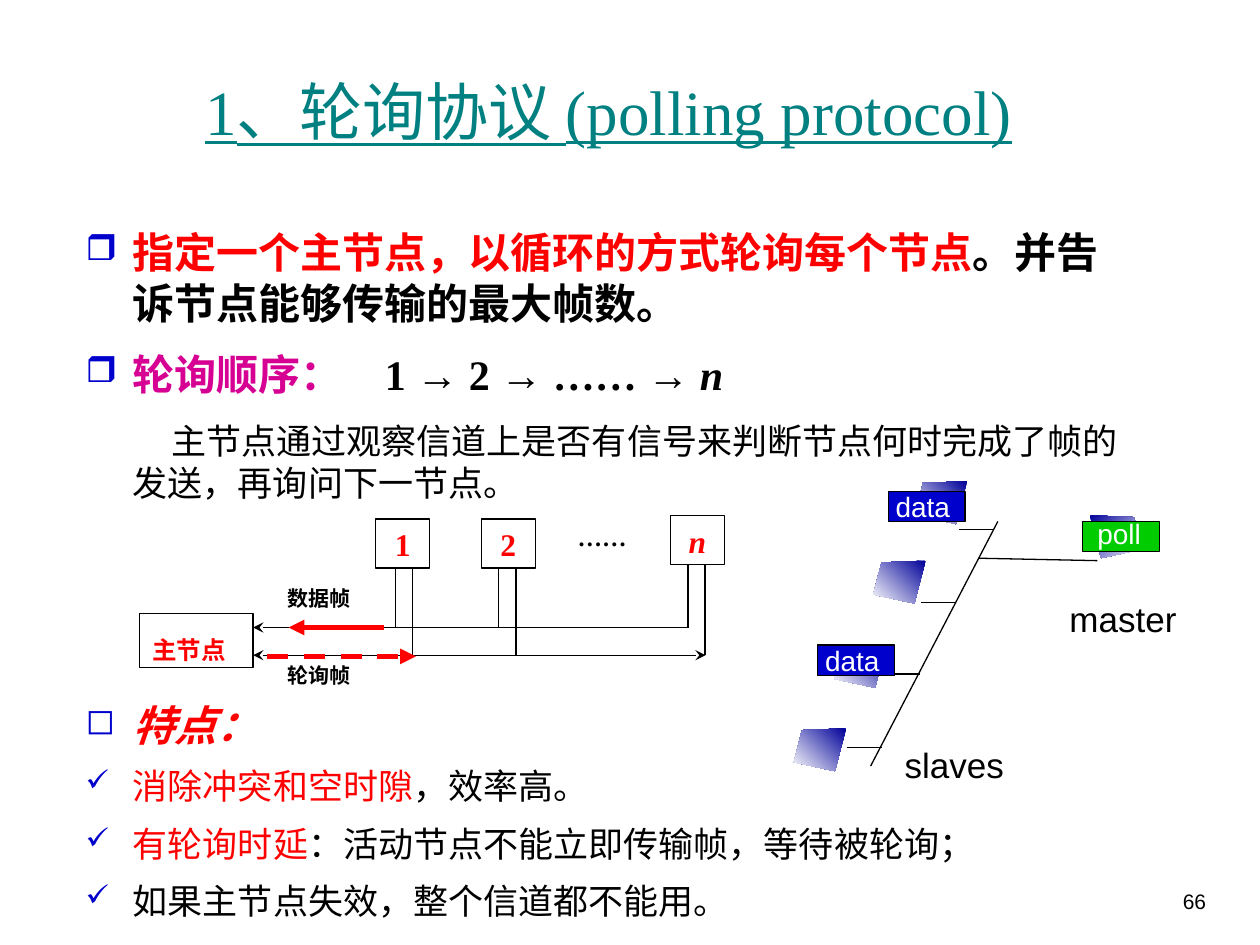
from lxml.etree import SubElement
from pptx import Presentation
from pptx.dml.color import RGBColor
from pptx.enum.dml import MSO_LINE
from pptx.enum.shapes import MSO_CONNECTOR, MSO_SHAPE
from pptx.enum.text import MSO_ANCHOR, MSO_AUTO_SIZE, PP_ALIGN
from pptx.oxml.ns import qn
from pptx.util import Pt

INK = {"black": "000000", "white": "FFFFFF", "red": "FF0000", "teal": "008080",
       "pink": "D60093", "blue": "0000CC", "navy": "000099", "green": "00CC00"}
HUE = {name: RGBColor.from_string(code) for name, code in INK.items()}
ROMAN, SANS = "Times New Roman", "Arial"


def write(par, text, hue, **form):
    run = par.add_run()
    run.text = text
    run.font.color.rgb = HUE[hue]
    form["size"] = Pt(form["size"])
    for key, val in form.items():
        setattr(run.font, key, val)


def wire(x1, y1, x2, y2, hue="black", width=0.75, dash=None, head=None, tail=None):
    line = slide.shapes.add_connector(
        MSO_CONNECTOR.STRAIGHT, Pt(x1), Pt(y1), Pt(x2), Pt(y2))
    line.line.color.rgb = HUE[hue]
    line.line.width = Pt(width)
    if dash:
        line.line.dash_style = dash
    props = line._element.spPr
    for tag, kind in (("a:headEnd", head), ("a:tailEnd", tail)):
        if kind:
            SubElement(props.find(qn("a:ln")), qn(tag), type=kind)
    SubElement(props, qn("a:effectLst"))


deck = Presentation()
deck.slide_width, deck.slide_height = Pt(720), Pt(540)
slide = deck.slides.add_slide(deck.slide_layouts[5])

# Title
title = slide.shapes.title
title.left, title.top, title.width, title.height = Pt(41.8), Pt(18), Pt(612), Pt(90)
title.text_frame.vertical_anchor = MSO_ANCHOR.MIDDLE
head = title.text_frame.paragraphs[0]
head.alignment = PP_ALIGN.CENTER
write(head, "1、轮询协议 (polling protocol)", "teal", size=36, name=ROMAN, underline=True)

# Body text: box, line spacing, paragraphs of (bullet, indent, space before, format, runs)
big = {"size": 24, "bold": True}
slant = {**big, "italic": True}
small = {"size": 20}
blocks = [
    ((41.8, 126, 612, 168.5), 1.0, [
        ("❒", -27, 0, [("指定一个主节点，以循环的方式轮询每个节点", "red", big),
                       ("。并告诉节点能够传输的最大帧数。", "black", big)]),
        ("❒", -27, 12, [("轮询顺序：　", "pink", big),
                        ("1 → 2 → …… → ", "black", big), ("n", "black", slant)]),
        (None, 22, 12, [("主节点通过观察信道上是否有信号来判断节点何时完成了帧的发送，"
                         "再询问下一节点。", "black", small)])]),
    ((41.8, 390.2, 622, 142.6), 1.2, [
        ("◻", -27, 0, [("特点：", "red", slant)]),
        ("✓", -27, 4, [("消除冲突和空时隙", "red", small), ("，效率高。", "black", small)]),
        ("✓", -27, 4, [("有轮询时延", "red", small),
                       ("：活动节点不能立即传输帧，等待被轮询；", "black", small)]),
        ("✓", -27, 4, [("如果主节点失效，整个信道都不能用。", "black", small)])]),
]
for place, space, pars in blocks:
    frame = slide.shapes.add_textbox(*map(Pt, place)).text_frame
    frame.word_wrap = True
    for i, (mark, dent, gap, runs) in enumerate(pars):
        par = frame.add_paragraph() if i else frame.paragraphs[0]
        props = par._p.get_or_add_pPr()
        props.set("marL", str(Pt(27)))
        props.set("indent", str(Pt(dent)))
        if mark:
            SubElement(SubElement(props, qn("a:buClr")), qn("a:srgbClr"), val=INK["blue"])
            SubElement(props, qn("a:buSzPct"), val="85000")
            SubElement(props, qn("a:buChar"), char=mark)
        par.line_spacing, par.space_before = space, Pt(gap)
        for text, hue, form in runs:
            write(par, text, hue, name=ROMAN, **form)

# Polling diagram: text, place, colour, size, outlined, centred, italic, top inset, spacing
boxes = [
    ("数据帧", (157, 319.7, 59, 38.9), "black", 12, False, False, False, 15, 1),
    ("轮询帧", (157, 375.1, 57.6, 38.9), "black", 12, False, False, False, 3.6, 1),
    ("主节点", (79.9, 350.6, 64.8, 31), "red", 14, True, False, False, 3.6, 1.52),
    ("……", (314.6, 294.5, 59, 31), "black", 14, False, True, False, 3.6, 1),
    ("1", (214.6, 296.6, 31, 28.1), "red", 18, True, True, False, 3.6, 1),
    ("2", (275, 296.6, 31, 28.1), "red", 18, True, True, False, 3.6, 1),
    ("n", (383, 294.5, 31, 28.1), "red", 18, True, True, True, 3.6, 1),
]
for text, place, hue, size, edge, mid, slope, inset, space in boxes:
    box = slide.shapes.add_shape(MSO_SHAPE.RECTANGLE, *map(Pt, place))
    box.shadow.inherit = False
    box.fill.solid()
    box.fill.fore_color.rgb = HUE["white"]
    if edge:
        box.line.color.rgb = HUE["black"]
        box.line.width = Pt(0.75)
    else:
        box.line.fill.background()
    frame = box.text_frame
    frame.word_wrap, frame.vertical_anchor = True, MSO_ANCHOR.TOP
    frame.margin_top = Pt(inset)
    par = frame.paragraphs[0]
    par.alignment = PP_ALIGN.CENTER if mid else PP_ALIGN.JUSTIFY
    par.line_spacing = space
    write(par, text, hue, size=size, name=ROMAN, bold=True, italic=slope)

# Data and poll channels, with two drops from each node
data, poll = 358.6, 374.4
wire(144.7, data, 393.1, data, head="stealth")
wire(144.7, poll, 403.2, poll, head="stealth", tail="stealth")
for x, y in ((226, 324.7), (285, 324.7), (393.1, 322.6)):
    wire(x, y, x, data)
    wire(x + 9.8, y, x + 9.8, poll)
wire(152.6, 375.1, 237.6, 375.1, "red", 3, MSO_LINE.DASH, tail="triangle")
wire(219.6, data, 164.9, data, "red", 3, tail="triangle")

# Stations: four slaves and the mirrored master
quad = [(29.9, 0), (4.7, 1), (0, 19.4), (23.5, 24.5)]
for x, y, flip in ((453.6, 416.2, False), (476.6, 368.6, False), (499, 320.4, False),
                   (522.7, 275, False), (622.8, 294.5, True)):
    dots = [(Pt(x + (29.9 - a if flip else a)), Pt(y + b)) for a, b in quad]
    build = slide.shapes.build_freeform(*dots[0])
    build.add_line_segments(dots[1:], close=True)
    node = build.convert_to_shape()
    node.shadow.inherit = False
    node.line.fill.background()
    node.fill.gradient()
    node.fill.gradient_angle = 315 if flip else 225
    for stop, hue in zip(node.fill.gradient_stops, ("navy", "white")):
        stop.color.rgb = HUE[hue]

# Shared bus and its stubs
wire(570.2, 298, 497.5, 437.8)
wire(559.4, 319, 627.1, 320.4)
for x, y in ((547.9, 302.4), (526.3, 344.2), (505.4, 385.2), (483.8, 427)):
    wire(x, y, x + 20.1, y)

# Frame tags
for x, y, hue in ((618.5, 298, "green"), (467.3, 368.6, "blue"), (507.6, 280.8, "blue")):
    tag = slide.shapes.add_shape(MSO_SHAPE.RECTANGLE, Pt(x), Pt(y), Pt(43.9), Pt(17.3))
    tag.shadow.inherit = False
    tag.fill.solid()
    tag.fill.fore_color.rgb = HUE[hue]
    tag.line.color.rgb = HUE["black"]
    tag.line.width = Pt(0.75)

# Labels and page number
labels = [
    ("master", (604, 337.7, 75.6, 31), 20, "black"),
    ("slaves", (509.8, 421.2, 71.3, 31), 20, "black"),
    ("poll", (620, 291.6, 39.6, 26.6), 16, "white"),
    ("data", (464.4, 364.3, 45.4, 26.6), 16, "white"),
    ("data", (504.7, 276.5, 45.4, 26.6), 16, "white"),
]
for text, place, size, hue in labels:
    frame = slide.shapes.add_textbox(*map(Pt, place)).text_frame
    frame.word_wrap, frame.auto_size = False, MSO_AUTO_SIZE.SHAPE_TO_FIT_TEXT
    write(frame.paragraphs[0], text, hue, size=size, name=SANS)
frame = slide.shapes.add_textbox(Pt(643), Pt(504), Pt(53.3), Pt(36)).text_frame
frame.word_wrap = True
frame.paragraphs[0].alignment = PP_ALIGN.RIGHT
write(frame.paragraphs[0], "66", "black", size=12, name=SANS)

deck.save("out.pptx")
